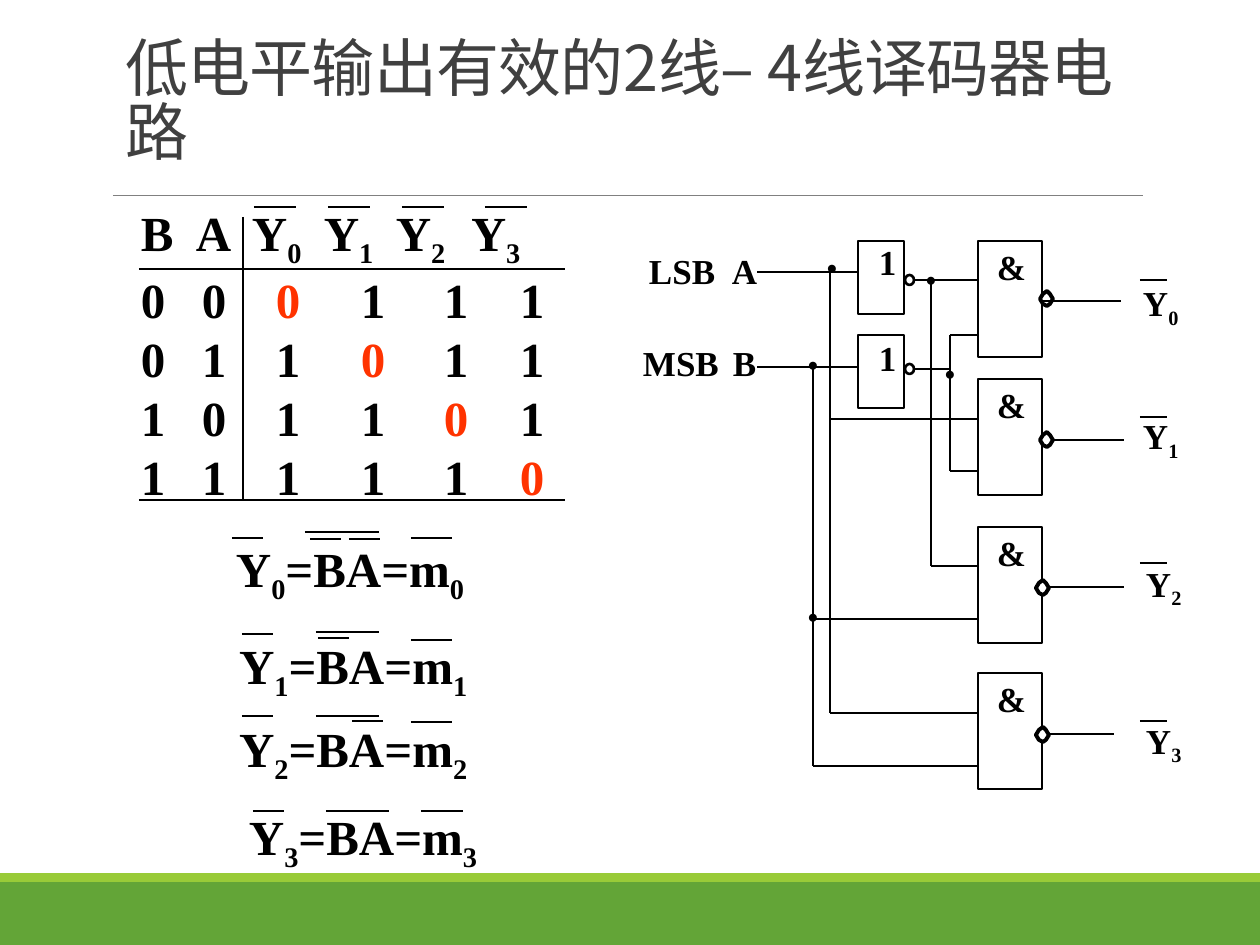
from lxml.etree import SubElement
from pptx import Presentation
from pptx.dml.color import RGBColor
from pptx.enum.shapes import MSO_CONNECTOR as Link, MSO_SHAPE as Form
from pptx.enum.text import MSO_ANCHOR as Anchor, MSO_AUTO_SIZE as Fit, PP_ALIGN as Align
from pptx.oxml.ns import qn
from pptx.util import Emu, Pt

SCALE = 914400 / 126
BLACK = RGBColor(0, 0, 0)
WHITE = RGBColor(255, 255, 255)
RED = RGBColor(0xFF, 0x33, 0x00)
GRAY = RGBColor(0x80, 0x80, 0x80)
DARK = RGBColor(0x40, 0x40, 0x40)
GREEN = RGBColor(0x63, 0xA5, 0x37)
LIME = RGBColor(0x99, 0xCB, 0x38)
SERIF = "Times New Roman"
HAN = "Noto Sans CJK SC"

GATES = [241, 379, 527, 673]
ROUTES = [
    [(858, 272), (757, 272)],
    [(858, 367), (757, 367)],
    [(914, 280), (978, 280)],
    [(914, 369), (950, 369)],
    [(978, 335), (950, 335), (950, 471), (978, 471)],
    [(931, 282), (931, 566), (978, 566)],
    [(830, 272), (830, 713), (978, 713)],
    [(830, 419), (978, 419)],
    [(813, 367), (813, 766), (978, 766)],
    [(813, 619), (978, 619)],
]
NODES = [(813, 217), (794, 314), (912, 229), (931, 323), (794, 566)]
OUTS = [
    (1040, 291, 301, 1121, 1130, 275, 280),
    (1040, 432, 440, 1124, 1130, 408, 417),
    (1036, 580, 587, 1124, 1133, 556, 563),
    (1036, 727, 734, 1114, 1133, 713, 721),
]
SUMS = [
    (223, 532, [(232, 263, 538), (305, 379, 532), (310, 341, 539),
                (349, 380, 539), (411, 452, 538)]),
    (226, 629, [(242, 273, 634), (316, 379, 632), (318, 349, 638),
                (411, 452, 640)]),
    (226, 712, [(242, 273, 716), (316, 379, 716), (352, 383, 721),
                (411, 452, 722)]),
    (236, 800, [(253, 284, 811), (326, 389, 811), (421, 463, 811)]),
]
EDGES = [139, 192, 243, 320, 394, 471, 565]
HEADS = [141, 196, 252, 324, 396, 471]
BITS = [141, 202, 276, 361, 444, 520]


def px(*nums):
    return [Emu(round(num * SCALE)) for num in nums]


def add_run(para, text, size, color=BLACK, sub=False):
    run = para.add_run()
    run.text = text
    font = run.font
    font.name, font.size, font.bold = SERIF, Pt(size), True
    font.color.rgb = color
    if sub:
        run._r.get_or_add_rPr().set("baseline", "-25000")


def add_text(slide, box, size, *parts):
    frame = slide.shapes.add_textbox(*px(*box)).text_frame
    frame.word_wrap = True
    frame.margin_left, frame.margin_right = px(13, 0)
    for part in parts:
        add_run(frame.paragraphs[0], part, size, sub=part.isdigit() and len(parts) > 1)


def add_line(slide, start, end, width=1.5, color=BLACK):
    line = slide.shapes.add_connector(Link.STRAIGHT, *px(*start, *end))
    line.line.width = Pt(width)
    line.line.color.rgb = color
    SubElement(line._element.spPr, qn("a:effectLst"))


def add_route(slide, points):
    for start, end in zip(points, points[1:]):
        add_line(slide, start, end)


def add_bar(slide, left, right, y):
    add_line(slide, (left, y), (right, y), 0.75)


def add_form(slide, form, box, fill=None):
    shape = slide.shapes.add_shape(form, *px(*box))
    shape.shadow.inherit = False
    if fill:
        shape.fill.solid()
        shape.fill.fore_color.rgb = fill
        shape.line.fill.background()
    else:
        shape.fill.background()
        shape.line.color.rgb = BLACK
        shape.line.width = Pt(1.5)


def add_bubble(slide, x, y):
    rim = [(3, 3), (7, 0), (10, 3), (13, 8), (10, 13), (7, 15), (3, 13)]
    pen = slide.shapes.build_freeform(x, y + 8, SCALE)
    pen.add_line_segments([(x + dx, y + dy) for dx, dy in rim], close=True)
    shape = pen.convert_to_shape()
    shape.shadow.inherit = False
    shape.fill.solid()
    shape.fill.fore_color.rgb = WHITE
    shape.line.color.rgb = BLACK
    shape.line.width = Pt(2.25)


def add_frame(slide):
    add_form(slide, Form.RECTANGLE, (0, 882, 1260, 63), GREEN)
    add_form(slide, Form.RECTANGLE, (0, 873, 1260, 9), LIME)
    add_line(slide, (113, 195), (1143, 195), 0.5, GRAY)


def add_title(slide):
    title = slide.shapes.title
    title.left, title.top, title.width, title.height = px(113, 39, 1040, 136)
    frame = title.text_frame
    frame.word_wrap, frame.auto_size = True, Fit.NONE
    frame.vertical_anchor = Anchor.BOTTOM
    para = frame.paragraphs[0]
    para.alignment, para.line_spacing = Align.LEFT, 0.85
    run = para.add_run()
    run.text = "低电平输出有效的2线– 4线译码器电路"
    run.font.name, run.font.size = HAN, Pt(36)
    run.font.color.rgb = DARK
    props = run._r.get_or_add_rPr()
    props.set("spc", "-50")
    SubElement(props, qn("a:ea")).set("typeface", HAN)


def fill_cell(cell, inset, parts, color=BLACK):
    cell.fill.background()
    cell.margin_left, cell.margin_right, cell.margin_top, cell.margin_bottom = px(inset, 0, 0, 0)
    for part, sub in parts:
        add_run(cell.text_frame.paragraphs[0], part, 28, color, sub)


def add_truth(slide):
    table = slide.shapes.add_table(5, 6, *px(139, 208, 426, 299)).table
    table.first_row = table.horz_banding = False
    for col, left, right in zip(table.columns, EDGES, EDGES[1:]):
        col.width = px(right - left)[0]
    for row, height in zip(table.rows, [67] + [58] * 4):
        row.height = px(height)[0]
    heads = [[("B", False)], [("A", False)]]
    heads += [[("Y", False), (str(i), True)] for i in range(4)]
    for col, parts in enumerate(heads):
        fill_cell(table.cell(0, col), HEADS[col] - EDGES[col], parts)
    for row in range(4):
        bits = [row // 2, row % 2] + [int(i != row) for i in range(4)]
        for col, bit in enumerate(bits):
            color = RED if col == row + 2 else BLACK
            fill_cell(table.cell(row + 1, col), BITS[col] - EDGES[col], [(str(bit), False)], color)
    for y in (269, 500):
        add_bar(slide, 139, 565, y)
    add_line(slide, (243, 217), (243, 500), 0.75)
    for left in (254, 328, 402, 485):
        add_bar(slide, left, left + 42, 207)


def add_sums(slide):
    for i, (x, y, bars) in enumerate(SUMS):
        add_text(slide, (x, y, 260, 72), 28, "Y", str(i), "=BA=m", str(i))
        for bar in bars:
            add_bar(slide, *bar)


def add_logic(slide):
    for top in GATES:
        add_form(slide, Form.RECTANGLE, (978, top, 64, 116))
        add_text(slide, (984, top - 2, 54, 54), 20, "&")
    for top, label, ring in ((241, 234, 275), (335, 330, 364)):
        add_form(slide, Form.RECTANGLE, (858, top, 46, 73))
        add_text(slide, (866, label, 43, 54), 20, "1")
        add_form(slide, Form.OVAL, (905, ring, 9, 10))
    for points in ROUTES:
        add_route(slide, points)
    for text, x, y, width in (("LSB", 636, 243, 92), ("A", 719, 243, 50),
                              ("MSB", 630, 335, 101), ("B", 720, 335, 49)):
        add_text(slide, (x, y, width, 54), 20, text)
    for x, y in NODES:
        add_text(slide, (x, y, 38, 72), 28, ".")
    for i, (x, top, y, end, left, label, bar) in enumerate(OUTS):
        add_bubble(slide, x, top)
        add_line(slide, (1040 if i == 0 else x + 13, y), (end, y))
        add_text(slide, (left, label, 66, 54), 20, "Y", str(i))
        add_bar(slide, 1140, 1167, bar)


def main():
    deck = Presentation()
    deck.slide_width, deck.slide_height = px(1260, 945)
    slide = deck.slides.add_slide(deck.slide_layouts[5])
    add_frame(slide)
    add_title(slide)
    add_logic(slide)
    add_sums(slide)
    add_truth(slide)
    deck.save("out.pptx")


if __name__ == "__main__":
    main()
